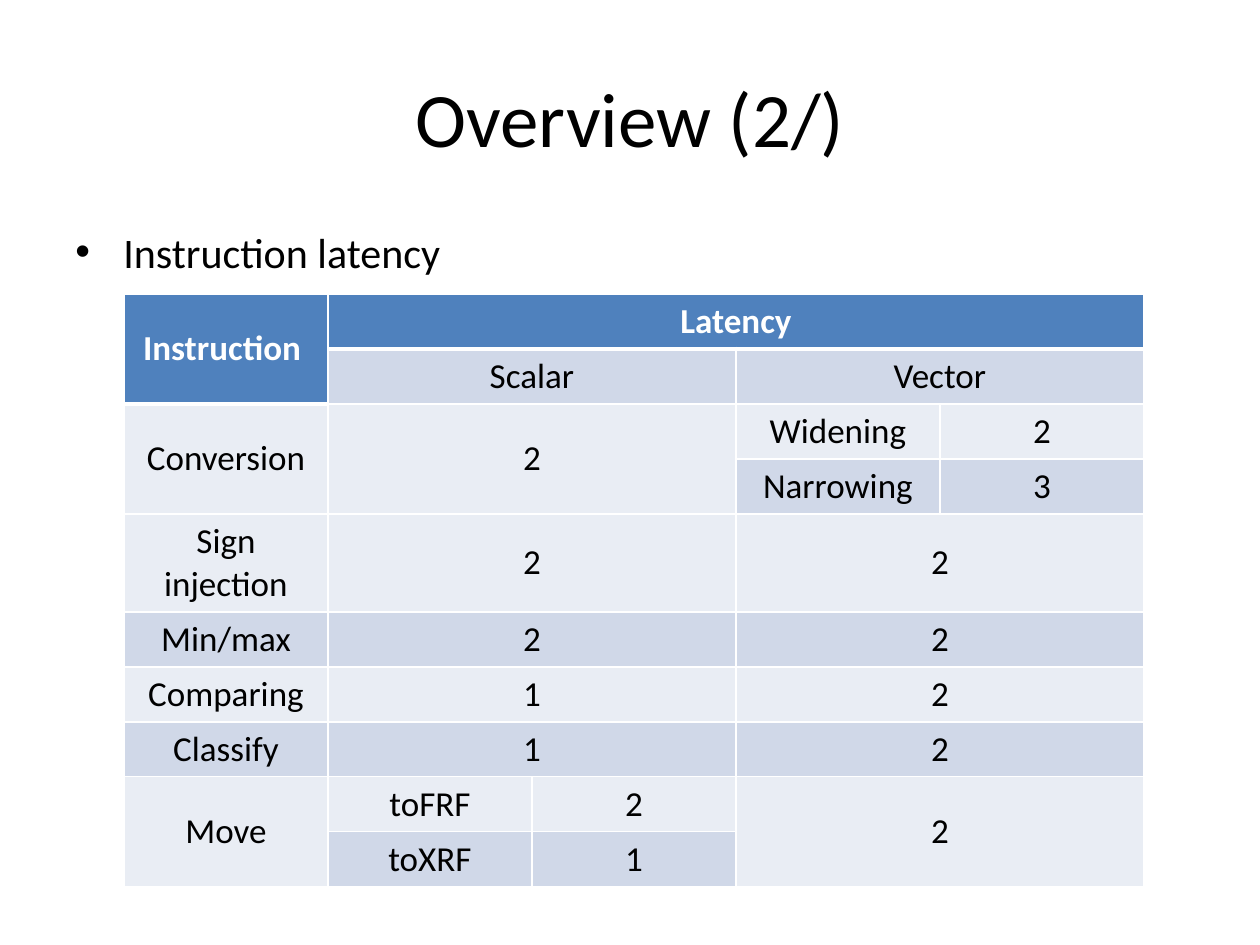
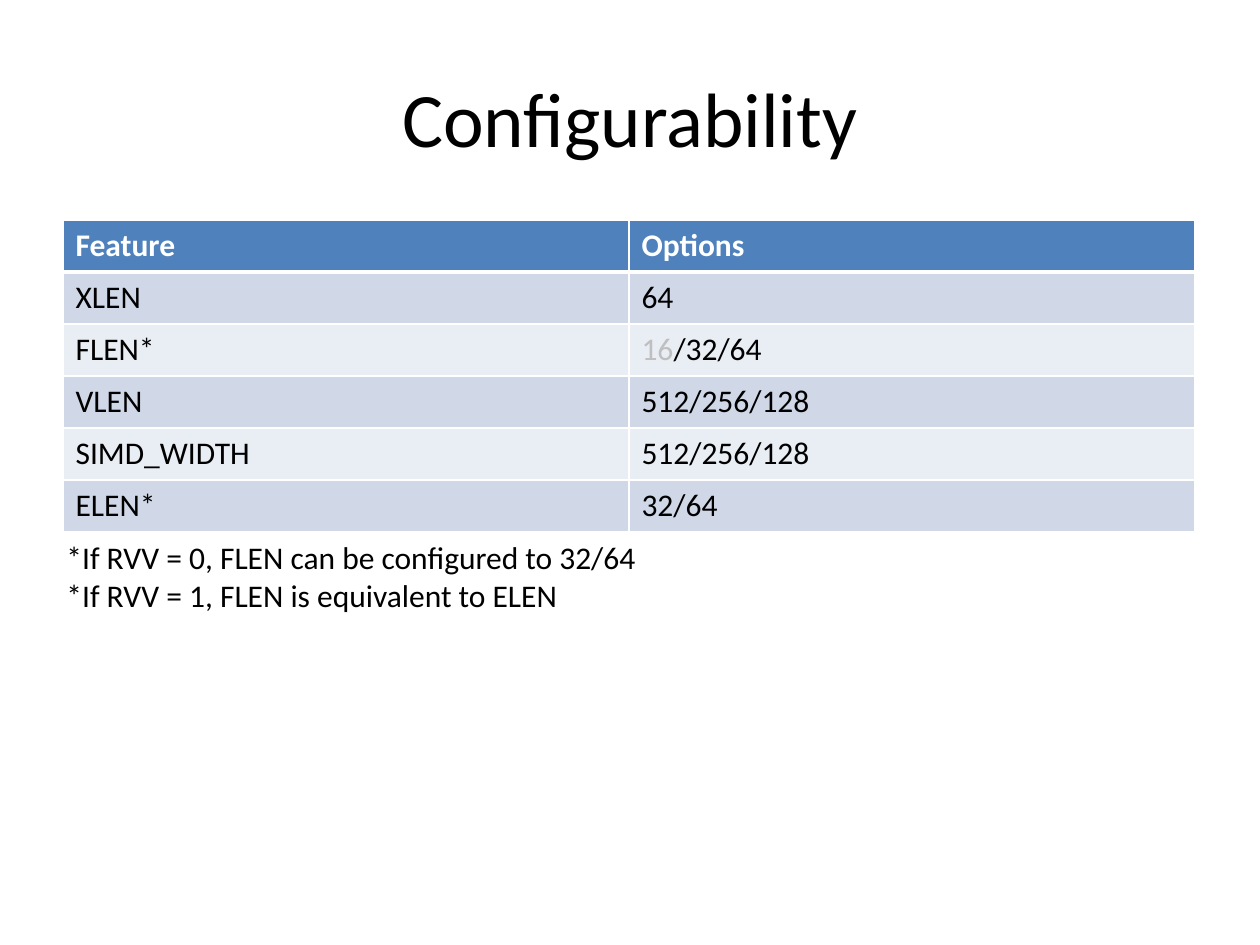
from lxml import etree
from pptx import Presentation
from pptx import util as u
from pptx.dml.color import RGBColor
from pptx.enum import text
from pptx.oxml.ns import qn

PX = 914400 // 126
FONT = "Calibri"
BLACK = RGBColor(0x00, 0x00, 0x00)
WHITE = RGBColor(0xFF, 0xFF, 0xFF)
HEADER = RGBColor(0x4F, 0x81, 0xBD)
BAND_DARK = RGBColor(0xD0, 0xD8, 0xE8)
BAND_LIGHT = RGBColor(0xE9, 0xED, 0xF4)
MUTED = RGBColor(0xBF, 0xBF, 0xBF)

LATENCY = [
    ["Instruction ", "Latency", None, None, None],
    [None, "Scalar", None, "Vector", None],
    ["Conversion", "2", None, "Widening", "2"],
    [None, None, None, "Narrowing", "3"],
    ["Sign injection", "2", None, "2", None],
    ["Min/max", "2", None, "2", None],
    ["Comparing", "1", None, "2", None],
    ["Classify", "1", None, "2", None],
    ["Move", "toFRF", "2", "2", None],
    [None, "toXRF", "1", None, None],
]
# (row, column): (rows spanned, columns spanned)
LATENCY_SPANS = {(0, 0): (2, 1), (0, 1): (1, 4), (2, 0): (2, 1),
                 (2, 1): (2, 2), (8, 0): (2, 1), (8, 3): (2, 2)}
LATENCY_SPANS.update({(r, c): (1, 2) for r in (1, 4, 5, 6, 7) for c in (1, 3)
                      })

# A tuple holds a muted part followed by a normal part
OPTIONS = [
    ["Feature", "Options"],
    ["XLEN", "64"],
    ["FLEN*", ("16", "/32/64")],
    ["VLEN", "512/256/128"],
    ["SIMD_WIDTH", "512/256/128"],
    ["ELEN*", "32/64"],
]
NOTES = ["*If RVV = 0, FLEN can be configured to 32/64",
         "*If RVV = 1, FLEN is equivalent to ELEN"]


def px(*lengths):
    return [u.Emu(n * PX) for n in lengths]


def style(p, size, color=BLACK, bold=False, align=text.PP_ALIGN.LEFT):
    p.alignment = align
    p.font.name, p.font.size, p.font.bold = FONT, u.Pt(size), bold
    p.font.color.rgb = color


def add_titled_slide(prs, title):
    slide = prs.slides.add_slide(prs.slide_layouts[5])
    sp = slide.shapes.title
    sp.left, sp.top, sp.width, sp.height = px(63, 38, 1134, 157)
    sp.text_frame.text = title
    sp.text_frame.vertical_anchor = text.MSO_ANCHOR.MIDDLE
    style(sp.text_frame.paragraphs[0], 44, align=text.PP_ALIGN.CENTER)
    return slide


def add_text(slide, box, lines, size, wrap):
    tf = slide.shapes.add_textbox(*px(*box)).text_frame
    tf.word_wrap = wrap
    for i, line in enumerate(lines):
        p = tf.add_paragraph() if i else tf.paragraphs[0]
        p.text = line
        style(p, size)
    return tf


def add_bullet(p, indent):
    pPr = p._p.get_or_add_pPr()
    pPr.set("marL", str(indent * PX))
    pPr.set("indent", str(-indent * PX))
    bullet = etree.Element(qn("a:buChar"), char="•")
    font = etree.Element(qn("a:buFont"), typeface="Arial")
    pPr.insert(0, font)
    pPr.insert(1, bullet)


def set_borders(cell, widths):
    tcPr = cell._tc.get_or_add_tcPr()
    for i, (side, width) in enumerate(widths.items()):
        ln = etree.Element(qn("a:ln" + side), w=str(u.Pt(width)))
        fill = etree.SubElement(ln, qn("a:solidFill"))
        etree.SubElement(fill, qn("a:srgbClr"), val=str(WHITE))
        tcPr.insert(i, ln)


def add_banded_table(slide, left, top, col_width, row_heights, rows, size,
                     spans=None, align=text.PP_ALIGN.LEFT,
                     anchor=text.MSO_ANCHOR.TOP):
    n_rows, n_cols = len(rows), len(rows[0])
    box = px(left, top, col_width * n_cols, sum(row_heights))
    table = slide.shapes.add_table(n_rows, n_cols, *box).table
    for col in table.columns:
        col.width = u.Emu(col_width * PX)
    for row, height in zip(table.rows, row_heights):
        row.height = u.Emu(height * PX)

    # Merge, and note the row that gives each cell its band
    band = {(r, c): r for r in range(n_rows) for c in range(n_cols)}
    for (r, c), (height, width) in (spans or {}).items():
        table.cell(r, c).merge(table.cell(r + height - 1, c + width - 1))
        band.update({(r + i, c + j): r
                     for i in range(height) for j in range(width)})

    for (r, c), origin in band.items():
        cell, is_header = table.cell(r, c), origin == 0
        cell.fill.solid()
        cell.fill.fore_color.rgb = (HEADER if is_header else
                                    BAND_DARK if origin % 2 else BAND_LIGHT)
        # A thick rule separates the header from the body
        above, below = band.get((r - 1, c)), band.get((r + 1, c))
        set_borders(cell, {
            "L": 1, "R": 1,
            "T": 3 if not is_header and above == 0 else 1,
            "B": 3 if is_header and below != 0 else 1})
        value = rows[r][c]
        if value is None:
            continue
        cell.vertical_anchor = anchor
        p = cell.text_frame.paragraphs[0]
        style(p, size, WHITE if is_header else BLACK, is_header, align)
        if isinstance(value, tuple):
            for part, color in zip(value, (MUTED, BLACK)):
                run = p.add_run()
                run.text = part
                run.font.color.rgb = color
        else:
            p.add_run().text = value


def build_latency_slide(prs):
    slide = add_titled_slide(prs, "Overview (2/)")
    tf = add_text(slide, (63, 220, 1134, 624), ["Instruction latency"], 24, True)
    add_bullet(tf.paragraphs[0], 48)
    heights = [98 if row[0] == "Sign injection" else 55 for row in LATENCY]
    add_banded_table(slide, 124, 294, 204, heights, LATENCY, 20, LATENCY_SPANS,
                     text.PP_ALIGN.CENTER, text.MSO_ANCHOR.MIDDLE)


def build_options_slide(prs):
    slide = add_titled_slide(prs, "Configurability")
    add_banded_table(slide, 63, 220, 566, [52] * len(OPTIONS), OPTIONS, 18)
    add_text(slide, (54, 532, 602, 89), NOTES, 18, False)


def main():
    prs = Presentation()
    prs.slide_width, prs.slide_height = u.Inches(10), u.Inches(7.5)
    build_latency_slide(prs)
    build_options_slide(prs)
    prs.save("out.pptx")


if __name__ == "__main__":
    main()
